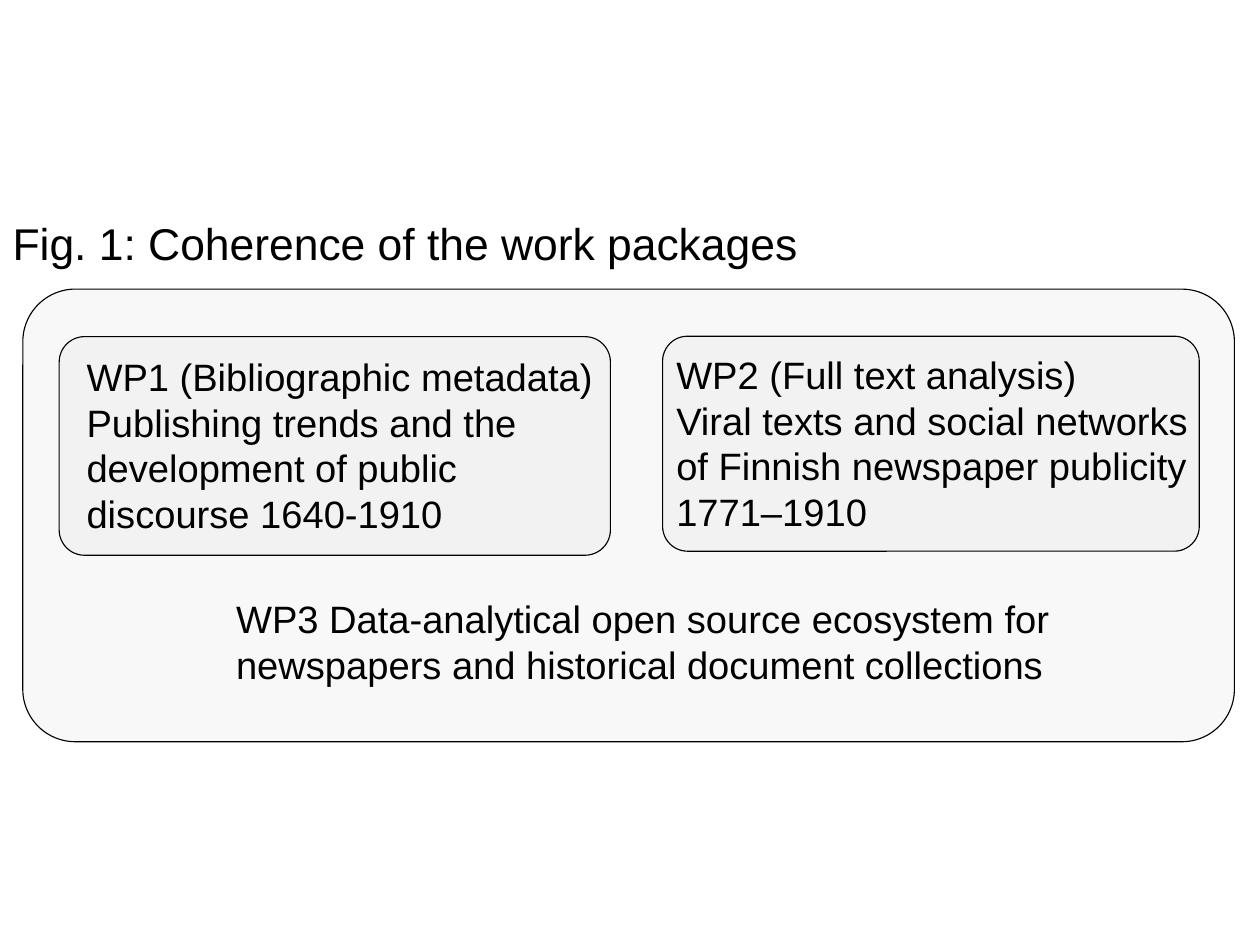
from pptx import Presentation
from pptx.dml.color import RGBColor
from pptx.enum import shapes, text
from pptx.oxml import parse_xml
from pptx.oxml.ns import nsdecls
from pptx.util import Cm, Inches, Pt

WIDTH, HEIGHT = Cm(28), Cm(21)
FONT, INK, GREY = "Arial", "000000", "CCCCCC"
FRAME = (0.2, 2.53, 10.6, 3.96)
TITLE = "Fig. 1: Coherence of the work packages"
WP1 = ("WP1 (Bibliographic metadata) "
       "Publishing trends and the development of public discourse 1640-1910")
WP2 = ("WP2 (Full text analysis)\n"
       "Viral texts and social networks of Finnish newspaper publicity 1771–1910")
WP3 = ("WP3 Data-analytical open source ecosystem for "
       "newspapers and historical document collections")


def colour(hex_code):
    """Turn a hex string into a colour."""
    return RGBColor.from_string(hex_code)


def inches(box):
    """Turn a box in inches into slide lengths."""
    return [Inches(length) for length in box]


def share(box, left, top, width, height):
    """Return the part of a box given by shares of its size."""
    x, y, w, h = box
    return x + left * w, y + top * h, width * w, height * h


def write(holder, words, size):
    """Fill a text holder with left-aligned, vertically centred words."""
    frame = holder.text_frame
    frame.text = words
    frame.word_wrap = True
    frame.auto_size = text.MSO_AUTO_SIZE.NONE
    frame.vertical_anchor = text.MSO_ANCHOR.MIDDLE
    frame.margin_left = frame.margin_right = 0
    frame.margin_top = frame.margin_bottom = 0
    for paragraph in frame.paragraphs:
        paragraph.alignment = text.PP_ALIGN.LEFT
        paragraph.line_spacing = 1.0
        for run in paragraph.runs:
            run.font.name = FONT
            run.font.size = Pt(size)
            run.font.color.rgb = colour(INK)


def add_panel(slide, box):
    """Draw a rounded panel with a faint grey tint."""
    panel = slide.shapes.add_shape(
        shapes.MSO_SHAPE.ROUNDED_RECTANGLE, *inches(box))
    panel.adjustments[0] = 0.116
    panel.shadow.inherit = False
    panel.fill.solid()
    panel.fill.fore_color.rgb = colour(GREY)
    tint = panel.fill._xPr.find(".//{*}srgbClr")
    tint.append(parse_xml(f'<a:alpha {nsdecls("a")} val="12000"/>'))
    panel.line.color.rgb = colour(INK)
    panel.line.width = Pt(0.71)


def add_words(slide, box, words):
    """Place a work package description in a box."""
    write(slide.shapes.add_textbox(*inches(box)), words, 24)


def add_title(slide, box):
    """Place the figure caption in the title placeholder."""
    caption = slide.shapes.title
    caption.left, caption.top, caption.width, caption.height = inches(box)
    write(caption, TITLE, 28)


def add_package(slide, box, words, indent):
    """Draw a work package panel with its description inside."""
    add_panel(slide, box)
    left, top, width, height = box
    add_words(slide, (left + indent, top + 0.12, 4.5, height - 0.26), words)


def add_ecosystem(slide, box):
    """Draw the shared frame that holds the three work packages."""
    add_panel(slide, box)
    add_package(slide, share(box, 0.03, 0.105, 0.455, 0.483), WP1, 0.24)
    add_package(slide, share(box, 0.528, 0.104, 0.443, 0.475), WP2, 0.12)
    add_words(slide, share(box, 0.176, 0.672, 0.693, 0.212), WP3)


def main():
    """Build the slide and save it."""
    deck = Presentation()
    deck.slide_width, deck.slide_height = WIDTH, HEIGHT
    slide = deck.slides.add_slide(deck.slide_layouts[5])
    add_title(slide, (0.11, 1.9, 7.29, 0.44))
    add_ecosystem(slide, FRAME)
    deck.save("out.pptx")


if __name__ == "__main__":
    main()
